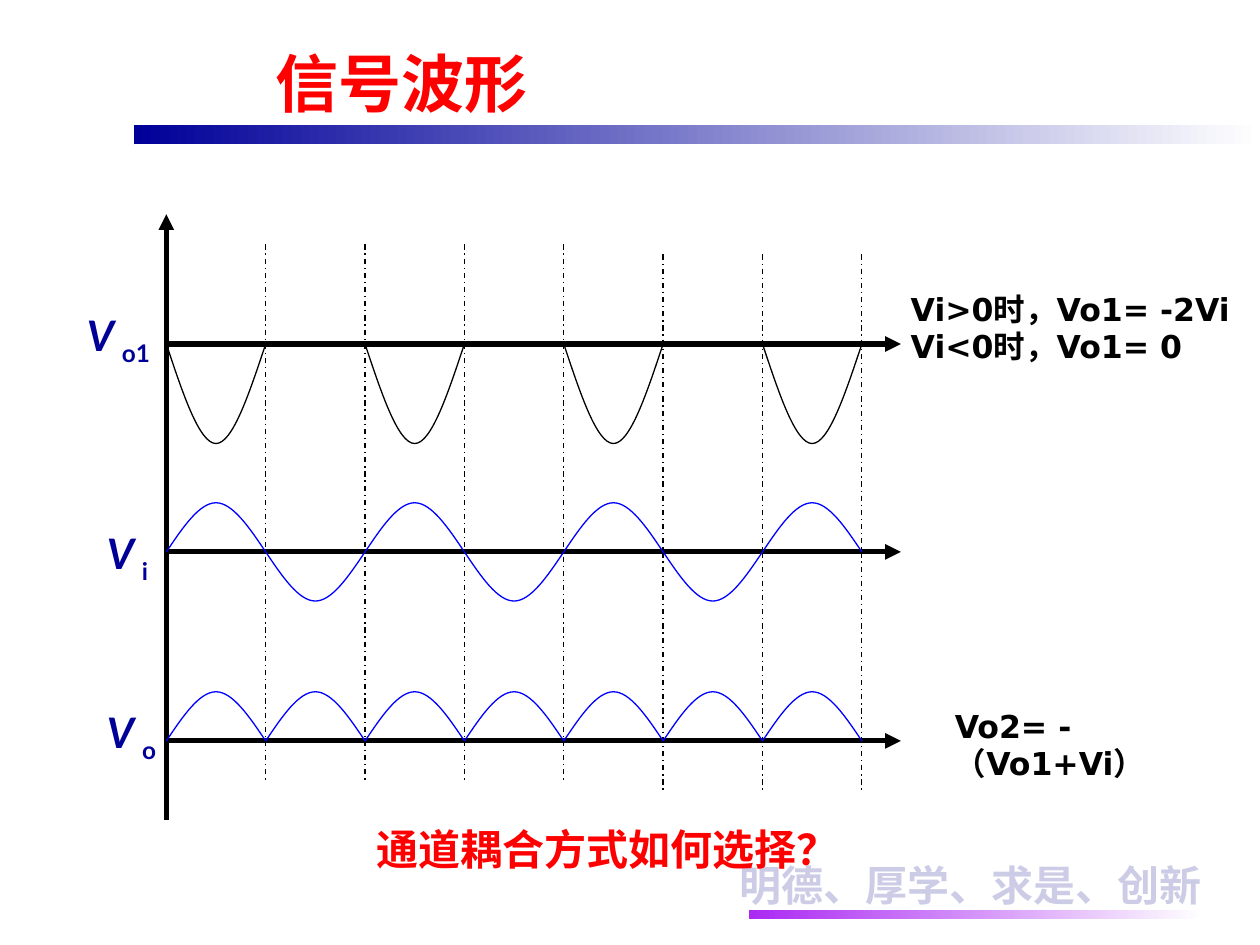
from dataclasses import dataclass

from lxml import etree
from pptx import Presentation
from pptx.dml.color import RGBColor
from pptx.enum.dml import MSO_LINE
from pptx.enum.shapes import MSO_CONNECTOR, MSO_SHAPE
from pptx.enum.text import MSO_ANCHOR, MSO_AUTO_SIZE, PP_ALIGN
from pptx.oxml.ns import qn
from pptx.shapes.autoshape import Shape
from pptx.slide import Slide
from pptx.util import Inches, Pt

DASH = MSO_LINE.DASH_DOT
LINE = MSO_CONNECTOR.STRAIGHT
RECT = MSO_SHAPE.RECTANGLE
BOTTOM, TOP = MSO_ANCHOR.BOTTOM, MSO_ANCHOR.TOP
FIT, FIXED = MSO_AUTO_SIZE.SHAPE_TO_FIT_TEXT, MSO_AUTO_SIZE.NONE
LEFT = PP_ALIGN.LEFT

BLACK = RGBColor(0x00, 0x00, 0x00)
WHITE = RGBColor(0xFF, 0xFF, 0xFF)
RED = RGBColor(0xFF, 0x00, 0x00)
BLUE = RGBColor(0x00, 0x00, 0xFF)
NAVY = RGBColor(0x00, 0x00, 0x99)
PALE = RGBColor(0xCC, 0xCC, 0xE6)
PURPLE = RGBColor(0xAB, 0x29, 0xF3)

HAN = "Noto Sans CJK SC"
ORIGIN, END = 1.32, 7.15
STEP = 5.52 / 7


@dataclass
class Box:
    left: float
    top: float
    width: float
    height: float


@dataclass
class Run:
    text: str
    size: int
    font: str
    color: RGBColor
    slant: bool = False
    sub: bool = False


@dataclass
class Wave:
    sub: str
    label: Box
    base: float
    color: RGBColor
    peaks: list[float]


@dataclass
class Note:
    box: Box
    lines: list[Run]
    inset: bool = True
    space: float = 1.0


WAVES = [
    Wave("i", Box(0.75, 4.14, 0.66, 0.56), 4.38, BLUE,
         [-0.39, 0.39, -0.39, 0.39, -0.39, 0.39, -0.39]),
    Wave("o1", Box(0.59, 2.41, 0.81, 0.56), 2.73, BLACK,
         [0.79, 0, 0.79, 0, 0.79, 0, 0.79]),
    Wave("o", Box(0.75, 5.56, 0.81, 0.56), 5.88, BLUE, [-0.39] * 7),
]

MOTTO = Note(Box(5.87, 6.82, 3.7, 0.4),
             [Run("明德、厚学、求是、创新", 24, "Arial", PALE)], inset=False)

NOTES = [
    Note(Box(7.13, 2.25, 2.87, 0.7),
         [Run("Vi>0时，Vo1= -2Vi", 18, "DejaVu Sans", BLACK),
          Run("Vi<0时，Vo1= 0", 18, "DejaVu Sans", BLACK)]),
    Note(Box(7.48, 5.56, 2.47, 0.4),
         [Run("Vo2= -（Vo1+Vi）", 18, "DejaVu Sans", BLACK)]),
    Note(Box(2.89, 6.41, 3.98, 0.58),
         [Run("通道耦合方式如何选择？", 24, HAN, RED)], space=1.2),
]


def place(box: Box) -> tuple:
    return tuple(Inches(n) for n in (box.left, box.top, box.width, box.height))


def add_run(para, item: Run) -> None:
    run = para.add_run()
    run.text = item.text
    font = run.font
    font.size = Pt(item.size)
    font.bold = True
    font.italic = item.slant
    font.color.rgb = item.color
    font.name = item.font
    props = run._r.get_or_add_rPr()
    etree.SubElement(props, qn("a:ea")).set("typeface", HAN)
    if item.sub:
        props.set("baseline", "-25000")


def add_text(slide: Slide, box: Box, rows: list[list[Run]],
             inset: bool = True, space: float = 1.0) -> None:
    frame = slide.shapes.add_textbox(*place(box)).text_frame
    frame.word_wrap = True
    frame.auto_size = FIT
    frame.vertical_anchor = TOP
    if not inset:
        frame.margin_left = frame.margin_right = 0
        frame.margin_top = frame.margin_bottom = 0
    for i, row in enumerate(rows):
        para = frame.add_paragraph() if i else frame.paragraphs[0]
        para.line_spacing = space
        for item in row:
            add_run(para, item)


def add_note(slide: Slide, note: Note) -> None:
    add_text(slide, note.box, [[item] for item in note.lines],
             note.inset, note.space)


def set_edge(shape: Shape, color: RGBColor) -> None:
    shape.line.color.rgb = color
    shape.line.width = Pt(0.75)


def add_bar(slide: Slide, box: Box, color: RGBColor) -> None:
    bar = slide.shapes.add_shape(RECT, *place(box))
    bar.shadow.inherit = False
    bar.fill.gradient()
    bar.fill.gradient_angle = 0
    for stop, tint in zip(bar.fill.gradient_stops, (color, WHITE)):
        stop.color.rgb = tint
    set_edge(bar, WHITE)


def add_line(slide: Slide, x1: float, y1: float, x2: float, y2: float,
             axis: bool = True) -> None:
    line = slide.shapes.add_connector(
        LINE, Inches(x1), Inches(y1), Inches(x2), Inches(y2))
    line.line.color.rgb = BLACK
    line.line.width = Pt(3 if axis else 0.75)
    if axis:
        edge = line.line._get_or_add_ln()
        etree.SubElement(edge, qn("a:tailEnd")).set("type", "triangle")
    else:
        line.line.dash_style = DASH
    etree.SubElement(line._element.spPr, qn("a:effectLst"))


def bend(arc: Shape) -> None:
    spots = [(int(p.get("x")), int(p.get("y")))
             for p in arc._element.iter(qn("a:pt"))]
    (x0, y0), (x1, y1), (x2, y2) = spots
    rise, fall = (y0 + y1) // 2, (y1 + y2) // 2
    curves = [
        [((2 * x0 + x1) // 3, rise), ((x0 + 2 * x1) // 3, y1), (x1, y1)],
        [((2 * x1 + x2) // 3, y1), ((x1 + 2 * x2) // 3, fall), (x2, y2)],
    ]
    for leg, curve in zip(list(arc._element.iter(qn("a:lnTo"))), curves):
        cubic = etree.Element(qn("a:cubicBezTo"))
        for x, y in curve:
            point = etree.SubElement(cubic, qn("a:pt"))
            point.set("x", str(x))
            point.set("y", str(y))
        leg.getparent().replace(leg, cubic)


def add_arc(slide: Slide, left: float, base: float, peak: float,
            color: RGBColor) -> None:
    pen = slide.shapes.build_freeform(Inches(left), Inches(base))
    pen.add_line_segments(
        [(Inches(left + STEP / 2), Inches(base + peak)),
         (Inches(left + STEP), Inches(base))], close=False)
    arc = pen.convert_to_shape()
    bend(arc)
    arc.shadow.inherit = False
    arc.fill.background()
    set_edge(arc, color)


def add_wave(slide: Slide, wave: Wave) -> None:
    add_line(slide, ORIGIN, wave.base, END, wave.base)
    add_text(slide, wave.label, [[
        Run("V ", 24, "Lato", NAVY, slant=True),
        Run(wave.sub, 24, "Lato", NAVY, sub=True)]])
    for i, peak in enumerate(wave.peaks):
        if peak:
            add_arc(slide, ORIGIN + i * STEP, wave.base, peak, wave.color)


def set_title(slide: Slide) -> None:
    title = slide.shapes.title
    title.left, title.top, title.width, title.height = place(
        Box(2.09, 0.13, 7.25, 0.87))
    set_edge(title, WHITE)
    frame = title.text_frame
    frame.auto_size = FIXED
    frame.vertical_anchor = BOTTOM
    para = frame.paragraphs[0]
    para.alignment = LEFT
    add_run(para, Run("信号波形", 36, "Arial", RED))


def main() -> None:
    deck = Presentation()
    deck.slide_width, deck.slide_height = Inches(10), Inches(7.5)
    slide = deck.slides.add_slide(deck.slide_layouts[5])
    add_note(slide, MOTTO)
    add_bar(slide, Box(5.94, 7.22, 3.62, 0.08), PURPLE)
    add_bar(slide, Box(1.06, 0.99, 8.94, 0.16), NAVY)
    set_title(slide)
    add_line(slide, ORIGIN, 6.51, ORIGIN, 1.7)
    for i in range(1, 8):
        x = ORIGIN + i * STEP
        top = 1.94 if i < 5 else 2.02
        add_line(slide, x, top, x, top + 4.25, axis=False)
    for wave in WAVES:
        add_wave(slide, wave)
    for note in NOTES:
        add_note(slide, note)
    deck.save("out.pptx")


if __name__ == "__main__":
    main()
